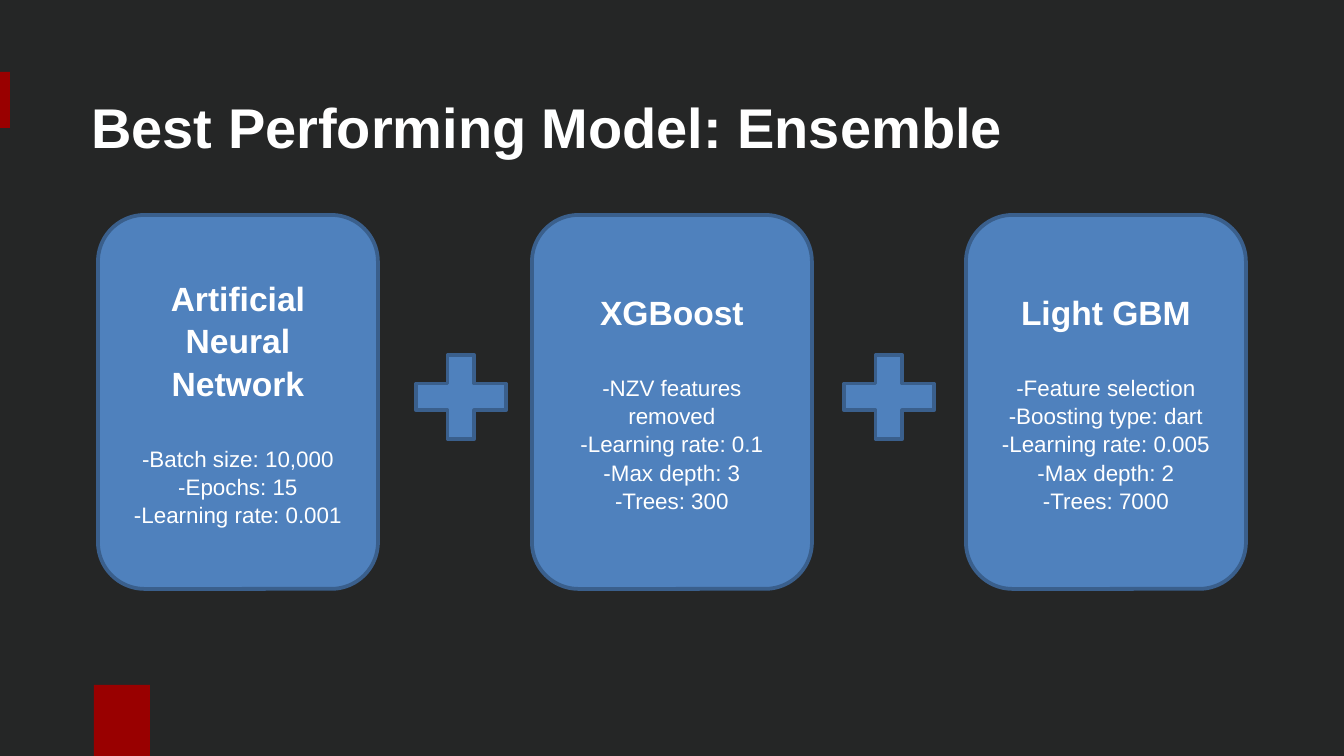
"""Build the slide on the best performing ensemble model."""
from dataclasses import dataclass
from typing import Optional

from pptx import Presentation
from pptx.dml.color import RGBColor
from pptx.enum.shapes import MSO_SHAPE
from pptx.enum.text import MSO_ANCHOR, PP_ALIGN
from pptx.shapes.autoshape import Shape
from pptx.slide import Slide
from pptx.text.text import TextFrame
from pptx.util import Inches, Pt

WIDE, HIGH = 1344, 756
SCALE = Inches(10) / WIDE

DARK = RGBColor(0x25, 0x26, 0x26)
RED = RGBColor(0x99, 0x00, 0x00)
BLUE = RGBColor(0x4F, 0x81, 0xBD)
EDGE = RGBColor(0x3A, 0x5F, 0x8C)
WHITE = RGBColor(0xFF, 0xFF, 0xFF)


@dataclass(frozen=True)
class Box:
    left: int
    top: int
    width: int
    height: int

    def emu(self) -> tuple[int, ...]:
        return tuple(round(n * SCALE) for n in (self.left, self.top, self.width, self.height))


@dataclass(frozen=True)
class Model:
    name: str
    facts: tuple[str, ...]


TITLE = Box(78, 69, 1111, 114)
MARKS = (Box(0, 72, 10, 56), Box(94, 685, 56, 71))
CARD = Box(98, 215, 280, 374)
STEP = 434
PLUSES = (Box(400, 340, 122, 114), Box(828, 340, 122, 114))
MODELS = (
    Model("Artificial Neural Network",
          ("-Batch size: 10,000", "-Epochs: 15", "-Learning rate: 0.001")),
    Model("XGBoost",
          ("-NZV features removed", "-Learning rate: 0.1", "-Max depth: 3", "-Trees: 300")),
    Model("Light GBM",
          ("-Feature selection", "-Boosting type: dart", "-Learning rate: 0.005",
           "-Max depth: 2", "-Trees: 7000")),
)


def write(frame: TextFrame, text: str, *, size: int, bold: bool = False,
          align: PP_ALIGN = PP_ALIGN.CENTER, first: bool = False,
          before: float = 0, lines: float = 1.05) -> None:
    line = frame.paragraphs[0] if first else frame.add_paragraph()
    line.alignment = align
    line.space_before = Pt(before)
    line.line_spacing = lines
    run = line.add_run()
    run.text = text
    font = run.font
    font.name, font.size, font.bold = "Arial", Pt(size), bold
    font.color.rgb = WHITE


def draw(slide: Slide, kind: MSO_SHAPE, box: Box, fill: RGBColor,
         edge: Optional[RGBColor] = None) -> Shape:
    shape = slide.shapes.add_shape(kind, *box.emu())
    shape.shadow.inherit = False
    shape.fill.solid()
    shape.fill.fore_color.rgb = fill
    if edge is None:
        shape.line.fill.background()
    else:
        shape.line.color.rgb = edge
        shape.line.width = Pt(2)
    return shape


def setup(frame: TextFrame) -> TextFrame:
    frame.word_wrap = True
    frame.vertical_anchor = MSO_ANCHOR.MIDDLE
    return frame


def card(slide: Slide, model: Model, box: Box) -> None:
    shape = draw(slide, MSO_SHAPE.ROUNDED_RECTANGLE, box, BLUE, EDGE)
    frame = setup(shape.text_frame)
    write(frame, model.name, size=18, bold=True, first=True)
    for index, fact in enumerate(model.facts):
        write(frame, fact, size=12, before=0 if index else 21.7)


def main() -> None:
    deck = Presentation()
    deck.slide_width, deck.slide_height = round(WIDE * SCALE), round(HIGH * SCALE)
    slide = deck.slides.add_slide(deck.slide_layouts[6])
    slide.background.fill.solid()
    slide.background.fill.fore_color.rgb = DARK

    for mark in MARKS:
        draw(slide, MSO_SHAPE.RECTANGLE, mark, RED)
    title = setup(slide.shapes.add_textbox(*TITLE.emu()).text_frame)
    write(title, "Best Performing Model: Ensemble", size=30, bold=True,
          align=PP_ALIGN.LEFT, first=True, lines=1)
    for index, model in enumerate(MODELS):
        card(slide, model, Box(CARD.left + index * STEP, CARD.top, CARD.width, CARD.height))
    for plus in PLUSES:
        draw(slide, MSO_SHAPE.MATH_PLUS, plus, BLUE, EDGE)
    deck.save("out.pptx")


if __name__ == "__main__":
    main()
